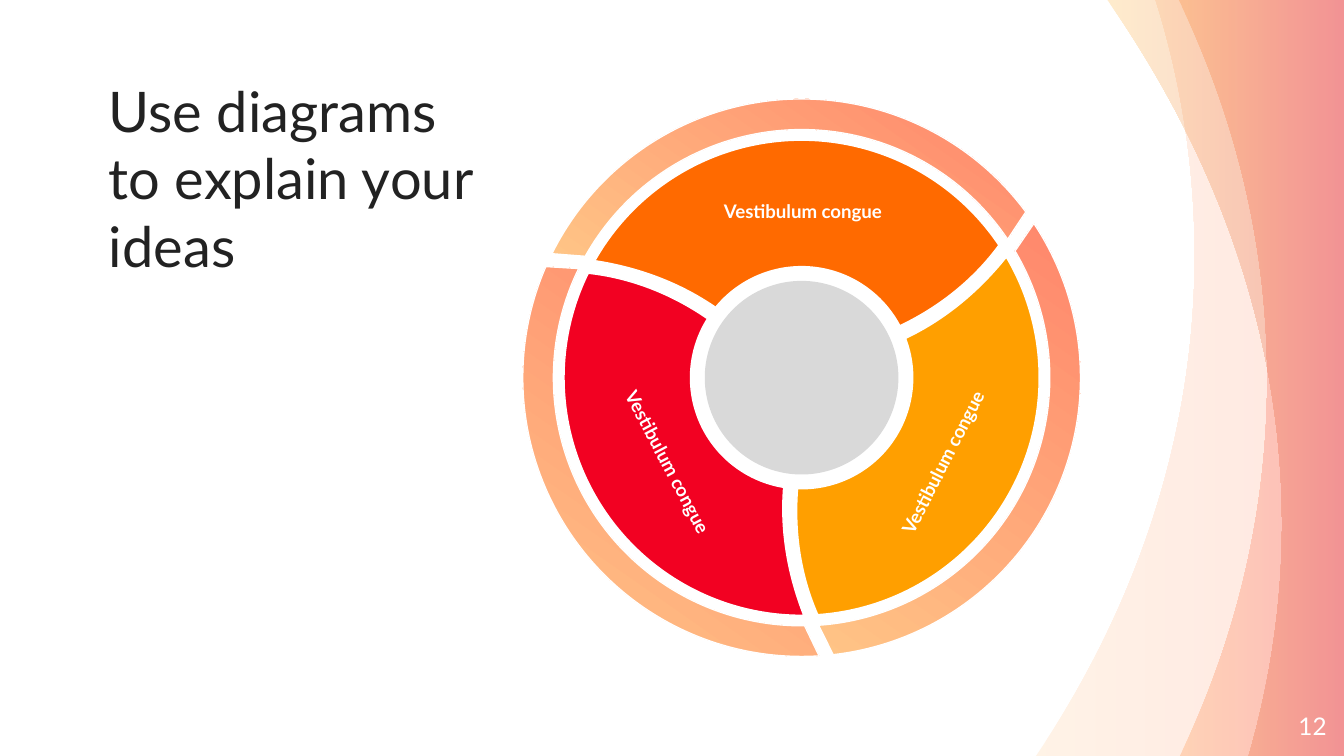
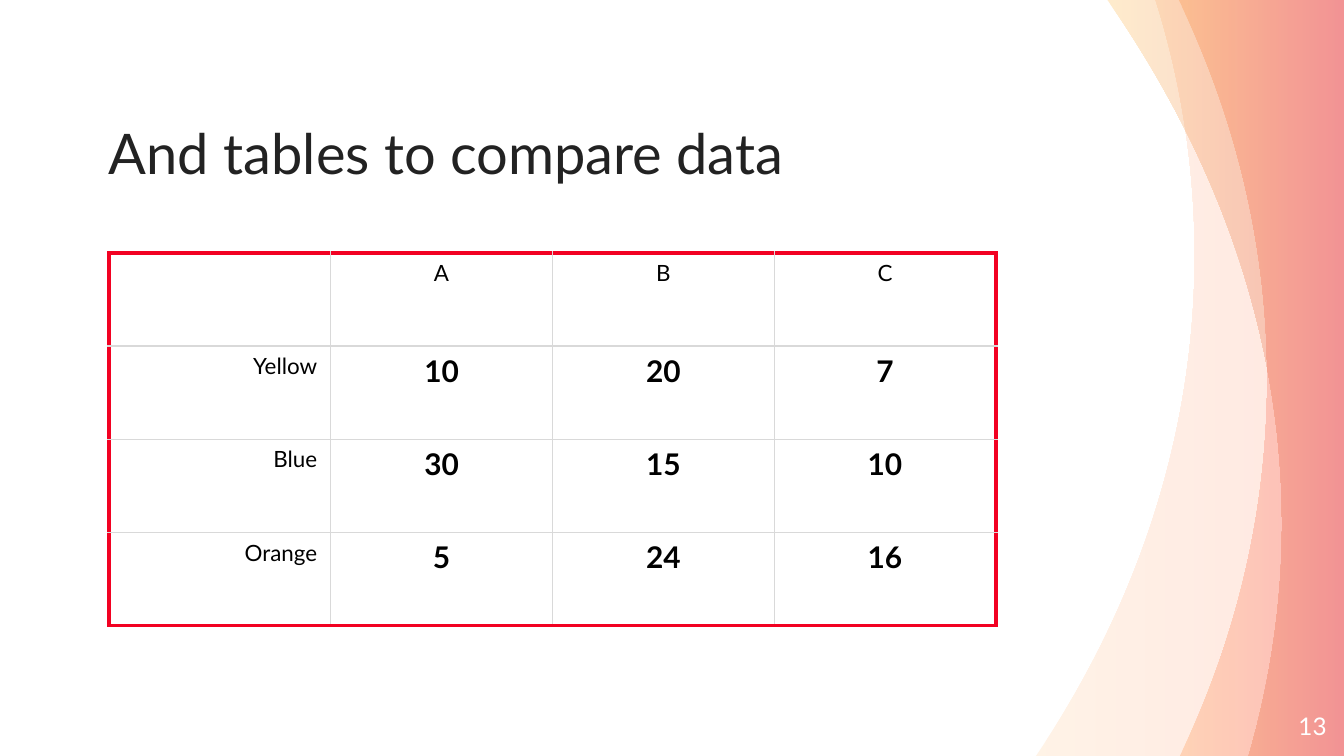
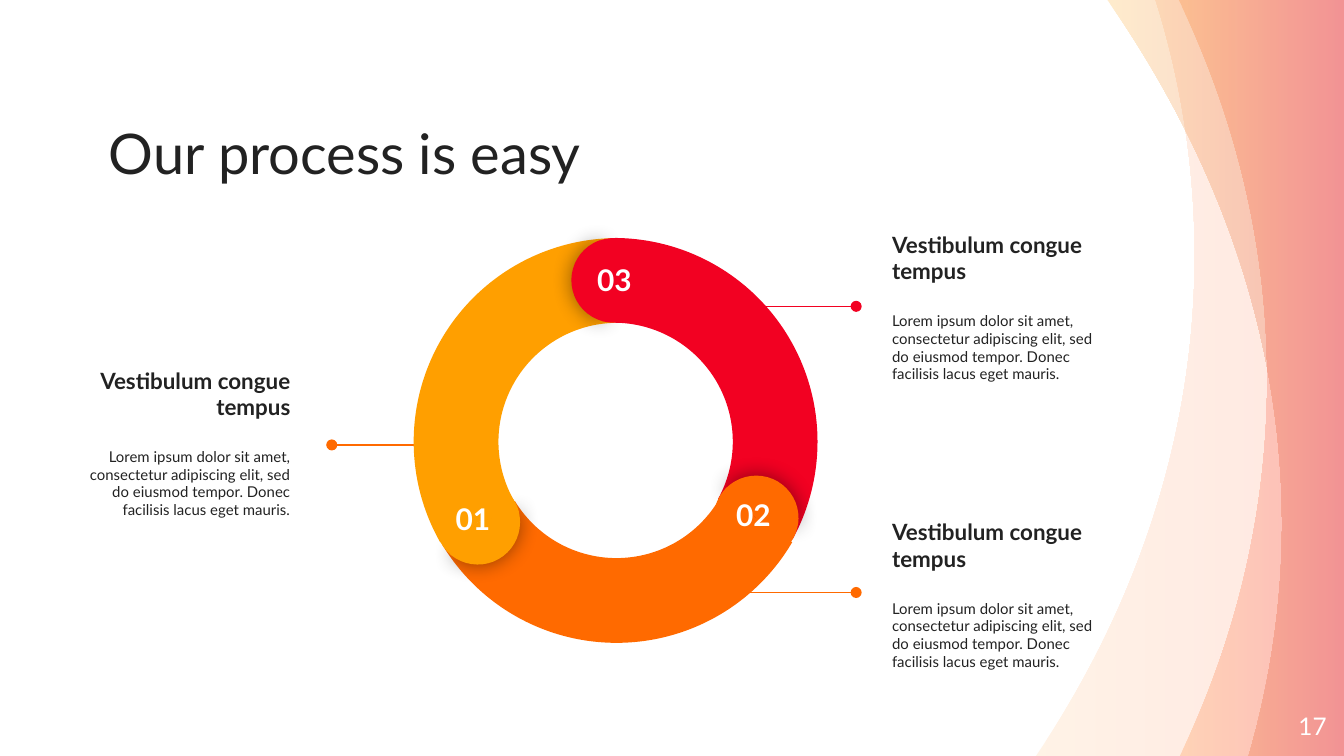
from dataclasses import dataclass
from math import cos, radians, sin, tan

from lxml import etree
from pptx import Presentation
from pptx import util as u
from pptx.dml.color import RGBColor
from pptx.enum import shapes, text
from pptx.oxml.ns import qn


@dataclass(frozen=True)
class Theme:
    font: str = "Lato"
    ink: str = "222222"
    black: str = "000000"
    white: str = "FFFFFF"
    grey: str = "D9D9D9"
    red: str = "F20122"
    orange: str = "FF6A00"
    yellow: str = "FF9F00"
    crimson: str = "CC0000"
    peach: str = "FFC486"
    coral: str = "FF866B"
    title: float = 30
    value: float = 16
    head: float = 12
    number: float = 13
    label: float = 10
    body: float = 8
    thin: float = 0.75
    thick: float = 2.21


T = Theme()
A = text.PP_ALIGN
TOP, MIDDLE, BOTTOM = (text.MSO_ANCHOR.TOP, text.MSO_ANCHOR.MIDDLE,
                       text.MSO_ANCHOR.BOTTOM)
W, H = 25.4, 14.29
INSET = 0.25

# Left edge of each band, top to bottom: a start, then two cubic curves
BANDS = [
    (T.peach, T.coral, (21.84, 0),
     ((22.33, 1.55), (22.58, 3.18), (22.58, 4.83)),
     ((22.58, 8.2), (21.51, 11.43), (19.58, H))),
    (T.orange, T.red, (22.28, 0),
     ((23.37, 2.26), (23.95, 4.67), (23.95, 7.16)),
     ((23.95, 9.68), (23.37, 12.07), (22.3, H))),
    (T.yellow, T.crimson, (20.93, 0),
     ((23.04, 3.02), (24.23, 6.38), (24.23, 9.91)),
     ((24.23, 11.43), (24, 12.9), (23.6, H))),
]

# Wheel: colour, label, label box, label rotation
WHEEL_CENTRE = (15.15, 7.14)
HUB_RADIUS = 1.83
WHEEL = [
    (T.orange, "Vestibulum congue", (12.98, 3.2, 4.39, 1.57), 0),
    (T.yellow, "Vestibulum congue", (15.62, 7.95, 4.39, 1.57), 297),
    (T.red, "Vestibulum congue", (10.44, 7.95, 4.37, 1.57), 62.1),
]

TABLE_BOX = (2.06, 4.78, 16.76, 7.04)
TABLE = [
    ["", "A", "B", "C"],
    ["Yellow", "10", "20", "7"],
    ["Blue", "30", "15", "10"],
    ["Orange", "5", "24", "16"],
]

HEADING = "Vestibulum congue tempus"
DETAIL = ("Lorem ipsum dolor sit amet, consectetur adipiscing elit, sed do "
          "eiusmod tempor. Donec facilisis lacus eget mauris.")
# Callouts: text box, alignment, line colour, line start x, end x, y
CALLOUTS = [
    ((1.37, 6.58, 4.37, 3.58), A.RIGHT, T.orange, 8.05, 6.27, 8.41),
    ((16.61, 4.01, 4.55, 3.58), A.LEFT, T.red, 13.41, 16.18, 5.79),
    ((16.61, 9.45, 4.55, 3.58), A.LEFT, T.orange, 13.41, 16.18, 11.2),
]
# Ring steps: number, colour, arc rotation, arc corner, cap corner, number corner
ARC_SIZE, CAP_SIZE = 7.7, 1.6
STEPS = [
    ("03", T.red, 60, (7.75, 4.5), (10.8, 4.5), (10.9, 4.7)),
    ("02", T.orange, 180, (7.8, 4.45), (13.49, 8.99), (13.53, 9.14)),
    ("01", T.yellow, 300, (7.82, 4.5), (8.23, 9.07), (8.23, 9.22)),
]


def rgb(color):
    return RGBColor.from_string(color)


def cm(*values):
    return [u.Cm(v) for v in values]


def style(p, size, color, bold=False, align=A.LEFT):
    p.alignment = align
    for r in p.runs:
        f = r.font
        f.name, f.size, f.bold = T.font, u.Pt(size), bold
        f.color.rgb = rgb(color)


def add_text(slide, box, lines, align=A.LEFT, anchor=TOP, inset=0.0, rot=0):
    """Add a text box; lines holds (text, size, colour, bold) per paragraph."""
    sp = slide.shapes.add_textbox(*cm(*box))
    sp.rotation = rot
    tf = sp.text_frame
    tf.word_wrap, tf.vertical_anchor = True, anchor
    tf.margin_left = tf.margin_right = u.Cm(inset)
    tf.margin_top = tf.margin_bottom = u.Cm(inset)
    tf.text = "\n".join(line[0] for line in lines)
    for p, (_, size, color, bold) in zip(tf.paragraphs, lines):
        style(p, size, color, bold, align)
    return tf


def add_preset(slide, kind, box, color, rot=0, adjust=()):
    sp = slide.shapes.add_shape(kind, *cm(*box))
    sp.rotation = rot
    sp.shadow.inherit = False
    sp.fill.solid()
    sp.fill.fore_color.rgb = rgb(color)
    sp.line.fill.background()
    for i, value in enumerate(adjust):
        sp.adjustments[i] = value
    return sp


def sample(start, c1, c2, end, steps=24):
    """Points along a cubic curve, start left out."""
    points = []
    for i in range(1, steps + 1):
        t = i / steps
        k = ((1 - t) ** 3, 3 * t * (1 - t) ** 2, 3 * t * t * (1 - t), t ** 3)
        points.append(tuple(sum(w * q[axis] for w, q in
                                zip(k, (start, c1, c2, end)))
                            for axis in (0, 1)))
    return points


def arc(radius, first, last, parts=2):
    """Segments of a circular arc: its start point, then cubic curves."""
    step = radians(last - first) / parts
    k = 4 / 3 * tan(step / 4)
    segments = [((radius * cos(radians(first)), radius * sin(radians(first))),)]
    for i in range(parts):
        a = radians(first) + i * step
        b = a + step
        segments.append((
            (radius * (cos(a) - k * sin(a)), radius * (sin(a) + k * cos(a))),
            (radius * (cos(b) + k * sin(b)), radius * (sin(b) - k * cos(b))),
            (radius * cos(b), radius * sin(b))))
    return segments


def add_outline(slide, segments, colors, angle=0):
    """Add a closed outline with a plain or two-colour gradient fill.

    A segment is one point (a line to it) or three (a cubic curve).
    """
    points = []
    for seg in segments:
        points += sample(points[-1], *seg) if len(seg) == 3 else seg
    points = [cm(*q) for q in points]
    fb = slide.shapes.build_freeform(*points[0])
    fb.add_line_segments(points[1:], close=True)
    sp = fb.convert_to_shape()
    bend(sp, segments)
    sp.shadow.inherit = False
    if len(colors) == 1:
        sp.fill.solid()
        sp.fill.fore_color.rgb = rgb(colors[0])
    else:
        sp.fill.gradient()
        sp.fill.gradient_angle = angle
        for stop, color in zip(sp.fill.gradient_stops, colors):
            stop.color.rgb = rgb(color)
    return sp


def bend(sp, segments):
    """Redraw a freeform with true curves inside its present bounds."""
    geometry = next(sp.element.iter(qn("a:path")))
    for child in list(geometry):
        geometry.remove(child)
    for i, seg in enumerate(segments):
        tag = "cubicBezTo" if len(seg) == 3 else "lnTo" if i else "moveTo"
        command = etree.SubElement(geometry, qn(f"a:{tag}"))
        for x, y in seg:
            etree.SubElement(command, qn("a:pt"), x=str(u.Cm(x) - sp.left),
                             y=str(u.Cm(y) - sp.top))
    etree.SubElement(geometry, qn("a:close"))


def add_bands(slide, layout):
    """Draw the translucent bands and hand them to the shared layout."""
    for first, last, start, upper, lower in BANDS:
        outline = [(start,), upper, lower, ((W, H),), ((W, 0),)]
        sp = add_outline(slide, outline, (first, last))
        sp.line.fill.background()
        for color in sp.element.iter(qn("a:srgbClr")):
            etree.SubElement(color, qn("a:alpha"), val="20000")
        layout.shapes.element.append(sp.element)


def add_frame(slide, title, number, width=16.76, anchor=BOTTOM):
    add_text(slide, (2.06, 1.45, width, 2.06),
             [(title, T.title, T.ink, False)], anchor=anchor)
    add_text(slide, (23.55, 13.18, 1.52, 1.09),
             [(number, T.number, T.white, False)], A.RIGHT, MIDDLE)


def turned(segments, degrees):
    """Turn segments about the origin and move them to the wheel's centre."""
    c, s = cos(radians(degrees)), sin(radians(degrees))
    x0, y0 = WHEEL_CENTRE
    return [tuple((x0 + x * c - y * s, y0 + x * s + y * c) for x, y in seg)
            for seg in segments]


def draw_wheel(slide):
    x, y = WHEEL_CENTRE
    add_preset(slide, shapes.MSO_SHAPE.OVAL,
               (x - HUB_RADIUS, y - HUB_RADIUS, 2 * HUB_RADIUS, 2 * HUB_RADIUS),
               T.grey)
    rim = arc(5.27, 206.4, 323.5) + arc(4.69, 326.1, 209.3)
    outer, inner = arc(4.49, 209.5, 326.1), arc(2.1, 332.1, 219.3)
    right_side = ((3.27, -1.88), (2.63, -1.35), inner[0][0])
    left_side = ((-2.32, -1.81), (-3.11, -2.09), outer[0][0])
    sector = outer + [right_side] + inner[1:] + [left_side]
    for i, (color, label, box, rot) in enumerate(WHEEL):
        for part, colors in ((rim, (T.peach, T.coral)), (sector, (color,))):
            sp = add_outline(slide, turned(part, 120 * i), colors, angle=55)
            sp.line.color.rgb = rgb(T.white)
            sp.line.width = u.Pt(T.thin)
        add_text(slide, box, [(label, T.label, T.white, True)], A.CENTER,
                 MIDDLE, INSET, rot)


def set_borders(cell, outer_sides):
    tcPr = cell._tc.get_or_add_tcPr()
    for side in "LRTB":
        color, width = ((T.red, T.thick) if side in outer_sides
                        else (T.grey, T.thin))
        ln = etree.SubElement(tcPr, qn(f"a:ln{side}"), w=str(u.Pt(width)))
        fill = etree.SubElement(ln, qn("a:solidFill"))
        etree.SubElement(fill, qn("a:srgbClr"), val=color)


def draw_table(slide):
    last = len(TABLE) - 1
    tb = slide.shapes.add_table(len(TABLE), len(TABLE[0]),
                                *cm(*TABLE_BOX)).table
    tb.first_row = tb.horz_banding = False
    for i, row in enumerate(TABLE):
        for j, value in enumerate(row):
            cell = tb.cell(i, j)
            edges = {"L": j == 0, "R": j == len(row) - 1,
                     "T": i == 0, "B": i == last}
            set_borders(cell, [side for side, on in edges.items() if on])
            cell.fill.background()
            cell.text = value
            is_value = i > 0 and j > 0
            style(cell.text_frame.paragraphs[0],
                  T.value if is_value else T.head, T.black, is_value,
                  A.CENTER if j else A.RIGHT)


def draw_callouts(slide):
    for box, align, color, x1, x2, y in CALLOUTS:
        tf = add_text(slide, box, [(HEADING, T.head, T.ink, True),
                                   (DETAIL, T.body, T.ink, False)],
                      align, MIDDLE, INSET)
        tf.paragraphs[1].space_before = u.Pt(14.4)
        c = slide.shapes.add_connector(shapes.MSO_CONNECTOR.STRAIGHT,
                                       *cm(x1, y, x2, y))
        c.line.color.rgb = rgb(color)
        c.line.width = u.Pt(T.thin)
        spPr = c.element.spPr
        etree.SubElement(spPr.find(qn("a:ln")), qn("a:tailEnd"), type="oval")
        etree.SubElement(spPr, qn("a:effectLst"))


def add_glow(sp):
    """Give a shape a soft dark shadow on all sides."""
    effects = sp.element.spPr.find(qn("a:effectLst"))
    shadow = etree.SubElement(effects, qn("a:outerShdw"),
                              blurRad=str(u.Pt(11.2)), dist="0", dir="0",
                              algn="ctr", rotWithShape="0")
    color = etree.SubElement(shadow, qn("a:srgbClr"), val=T.black)
    etree.SubElement(color, qn("a:alpha"), val="43000")


def draw_ring(slide):
    kinds = shapes.MSO_SHAPE
    for _, color, rot, corner, _, _ in STEPS:
        add_preset(slide, kinds.BLOCK_ARC, (*corner, ARC_SIZE, ARC_SIZE),
                   color, rot, (126.23, 197.2, 0.208))
    for number, color, rot, _, corner, number_corner in STEPS:
        cap = (*corner, CAP_SIZE, CAP_SIZE)
        add_glow(add_preset(slide, kinds.PIE, cap, color, rot - 59.3,
                            (61.9, 149.96)))
        add_preset(slide, kinds.PIE, cap, color, (rot + 120) % 360,
                   (40.28, 171.84))
        add_text(slide, (*number_corner, 1.42, 0.74),
                 [(number, T.value, T.white, True)], A.CENTER, inset=INSET)


def main():
    prs = Presentation()
    prs.slide_width, prs.slide_height = cm(W, H)
    layout = prs.slide_layouts[6]
    diagram, table, process = [prs.slides.add_slide(layout) for _ in range(3)]
    add_bands(diagram, layout)

    add_frame(diagram, "Use diagrams to explain your ideas", "12", 7.14, TOP)
    draw_wheel(diagram)

    add_frame(table, "And tables to compare data", "13")
    draw_table(table)

    add_frame(process, "Our process is easy", "17")
    draw_callouts(process)
    draw_ring(process)

    prs.save("out.pptx")


if __name__ == "__main__":
    main()
